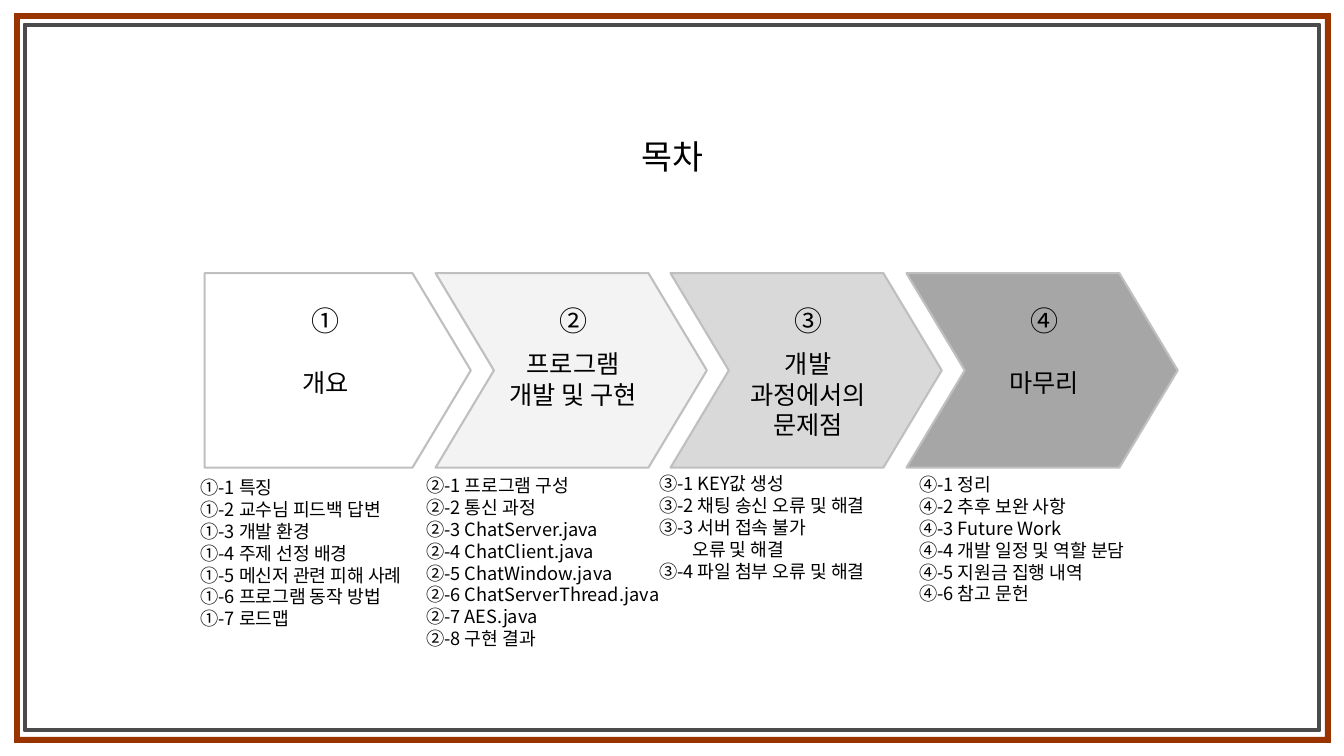
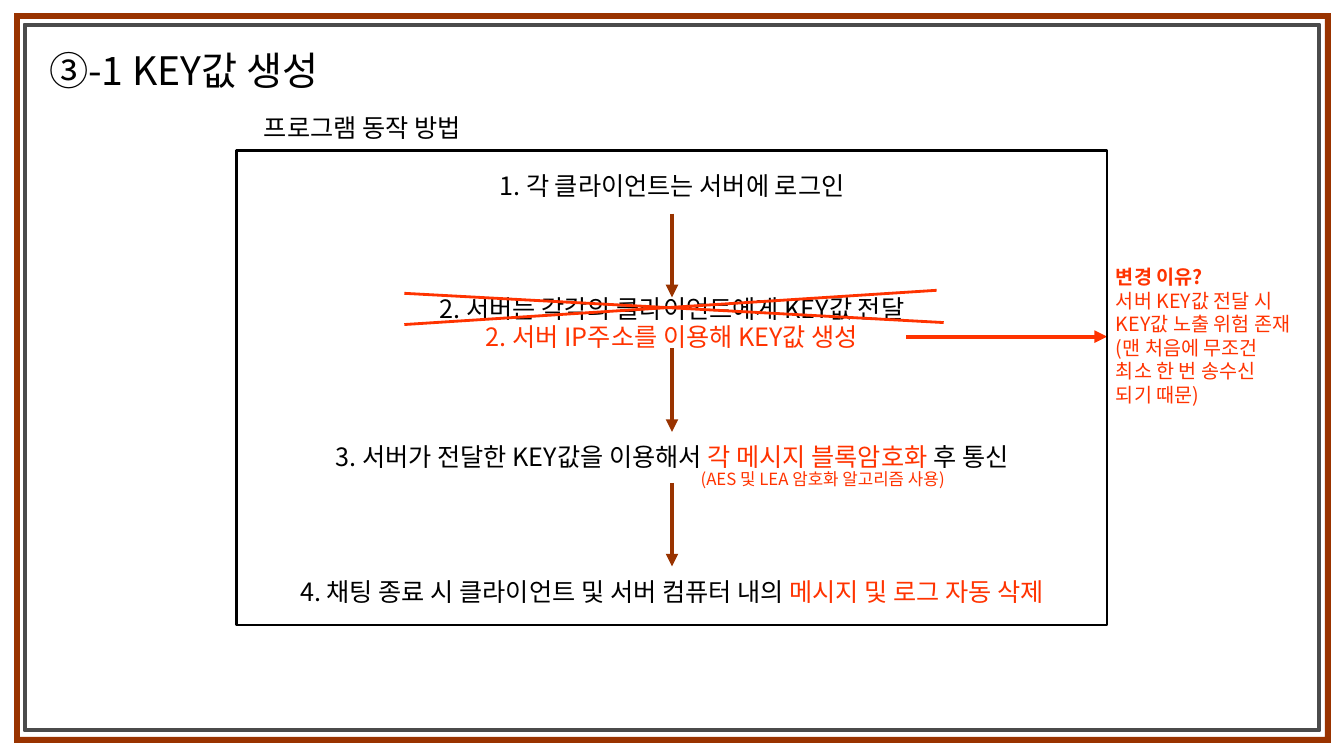
from lxml import etree
from pptx import Presentation
from pptx.dml.color import RGBColor
from pptx.enum.shapes import MSO_CONNECTOR as LINK, MSO_SHAPE as SHAPE
from pptx.enum.text import MSO_ANCHOR as ANCHOR, PP_ALIGN as ALIGN
from pptx.oxml.ns import qn
from pptx.util import Inches, Pt

FONT = "Noto Sans CJK KR"
BLACK = RGBColor(0x00, 0x00, 0x00)
WHITE = RGBColor(0xFF, 0xFF, 0xFF)
PALE = RGBColor(0xF3, 0xF3, 0xF3)
SILVER = RGBColor(0xD9, 0xD9, 0xD9)
GRAY = RGBColor(0xA6, 0xA6, 0xA6)
EDGE = RGBColor(0xBF, 0xBF, 0xBF)
CHARCOAL = RGBColor(0x4B, 0x4B, 0x4B)
RUST = RGBColor(0x99, 0x33, 0x00)
RED = RGBColor(0xFF, 0x33, 0x00)

SLIDE_W, SLIDE_H = 13.33, 7.5
LINE_RATIO = 1.2
KEY_TITLE = "③-1 KEY값 생성"

CHAPTERS = [
    ("①", ["개요"], SHAPE.PENTAGON, WHITE, (2.03, 2.64), -0.12, (1.89, 4.68, 2.46), [
        "특징", "교수님 피드백 답변", "개발 환경", "주제 선정 배경",
        "메신저 관련 피해 사례", "프로그램 동작 방법", "로드맵"]),
    ("②", ["프로그램", "개발 및 구현"], SHAPE.CHEVRON, PALE, (4.32, 2.69), 0.02, (4.13, 4.66, 2.64), [
        "프로그램 구성", "통신 과정", "ChatServer.java", "ChatClient.java",
        "ChatWindow.java", "ChatServerThread.java", "AES.java", "구현 결과"]),
    ("③", ["개발", "과정에서의", "문제점"], SHAPE.CHEVRON, SILVER, (6.65, 2.69), 0.02, (6.44, 4.64, 3), [
        "KEY값 생성", "채팅 송신 오류 및 해결", ("서버 접속 불가", "오류 및 해결"),
        "파일 첨부 오류 및 해결"]),
    ("④", ["마무리"], SHAPE.CHEVRON, GRAY, (8.99, 2.69), 0.02, (9.02, 4.65, 2.64), [
        "정리", "추후 보완 사항", "Future Work", "개발 일정 및 역할 분담",
        "지원금 집행 내역", "참고 문헌"]),
]

STEPS = [
    (1.64, [("1. 각 클라이언트는 서버에 로그인", BLACK)]),
    (2.86, [("2. 서버는 각각의 클라이언트에게 KEY값 전달", BLACK)]),
    (3.14, [("2. 서버 IP주소를 이용해 KEY값 생성", RED)]),
    (4.33, [("3. 서버가 전달한 KEY값을 이용해서 ", BLACK),
            ("각 메시지 블록암호화", RED), (" 후 통신", BLACK)]),
    (5.67, [("4. 채팅 종료 시 클라이언트 및 서버 컴퓨터 내의 ", BLACK),
            ("메시지 및 로그 자동 삭제", RED)]),
]

REASON = ["변경 이유?", "서버 KEY값 전달 시", "KEY값 노출 위험 존재",
          "(맨 처음에 무조건", "최소 한 번 송수신", "되기 때문)"]


def add_text(slide, box, lines, size, color=BLACK, align=ALIGN.LEFT, wrap=False):
    frame = slide.shapes.add_textbox(*map(Inches, box)).text_frame
    for name, value in {"word_wrap": wrap, "vertical_anchor": ANCHOR.TOP}.items():
        setattr(frame, name, value)
    for index, line in enumerate(lines):
        paragraph = frame.paragraphs[0] if index == 0 else frame.add_paragraph()
        paragraph.alignment = align
        paragraph.line_spacing = Pt(size * LINE_RATIO)
        for words, tint in [(line, color)] if isinstance(line, str) else line:
            run = paragraph.add_run()
            run.text = words
            for name, value in {"name": FONT, "size": Pt(size), "bold": False}.items():
                setattr(run.font, name, value)
            run.font.color.rgb = tint
            etree.SubElement(run._r.get_or_add_rPr(), qn("a:ea"), typeface=FONT)
    return frame


def add_centered(slide, center, top, width, lines, size):
    height = 0.1 + len(lines) * size * LINE_RATIO / 72
    return add_text(slide, (center - width / 2, top, width, height), lines, size,
                    align=ALIGN.CENTER)


def add_outline(slide, kind, box, fill=None, edge=None, weight=1.5, adjust=None):
    shape = slide.shapes.add_shape(kind, *map(Inches, box))
    shape.shadow.inherit = False
    if adjust is not None:
        shape.adjustments[0] = adjust
    if fill is None:
        shape.fill.background()
    else:
        shape.fill.solid()
        shape.fill.fore_color.rgb = fill
    if edge is None:
        shape.line.fill.background()
    else:
        shape.line.color.rgb = edge
        shape.line.width = Pt(weight)
    return shape


def add_line(slide, start, end, color, weight, arrow=False):
    line = slide.shapes.add_connector(LINK.STRAIGHT, *map(Inches, start + end))
    line.line.color.rgb = color
    line.line.width = Pt(weight)
    if arrow:
        etree.SubElement(line.line._get_or_add_ln(), qn("a:tailEnd"), type="triangle")
    etree.SubElement(line._element.spPr, qn("a:effectLst"))


def add_border(slide):
    add_outline(slide, SHAPE.FRAME, (0.14, 0.13, 13.06, 7.24), RUST, adjust=0.008)
    add_outline(slide, SHAPE.FRAME, (0.24, 0.24, 12.85, 7.01), CHARCOAL, CHARCOAL, adjust=0.003)


def add_topics(slide, number, box, topics):
    lines, continued = [], []
    for index, topic in enumerate(topics, 1):
        first, *rest = [topic] if isinstance(topic, str) else topic
        lines.append(f"{number}-{index} {first}")
        for words in rest:
            continued.append(len(lines))
            lines.append(words)
    height = 0.1 + len(lines) * 13 * LINE_RATIO / 72
    frame = add_text(slide, box + (height,), lines, 13, wrap=True)
    for index in continued:
        properties = frame.paragraphs[index]._p.get_or_add_pPr()
        properties.set("marL", str(Inches(0.33)))
        properties.set("indent", "0")


def add_chapter(slide, number, caption, kind, fill, span, shift, topic_box, topics):
    left, width = span
    top = 2.71
    add_outline(slide, kind, (left, top, width, 1.93), fill, EDGE, adjust=0.3)
    center = left + width / 2 + shift
    add_centered(slide, center, top + 0.25, 0.48, [number], 20)
    caption_top = top + (0.88 if len(caption) == 1 else 0.7)
    add_centered(slide, center, caption_top, 1.64, caption, 18)
    add_topics(slide, number, topic_box, topics)


def build_contents(slide):
    add_border(slide)
    add_centered(slide, SLIDE_W / 2, 1.3, 0.88, ["목차"], 24)
    for chapter in CHAPTERS:
        add_chapter(slide, *chapter)


def add_procedure(slide, box):
    left, top, width, height = box
    center = left + width / 2
    add_text(slide, (left + 0.17, top - 0.42, 2.4, 0.4), ["프로그램 동작 방법"], 18)
    for step_top, runs in STEPS:
        add_centered(slide, center, step_top, width, [runs], 18)
    for index in range(3):
        start = top + 0.63 + index * 1.335
        add_line(slide, (center, start), (center, start + 0.83), RUST, 3, arrow=True)
    for start, end in [((4.01, 3.22), (9.29, 2.88)), ((4.01, 2.91), (9.36, 3.2))]:
        add_line(slide, start, end, RED, 2)
    add_line(slide, (8.99, 3.34), (left + width, 3.34), RED, 3, arrow=True)
    add_outline(slide, SHAPE.RECTANGLE, box, edge=BLACK, weight=2)
    add_text(slide, (6.85, 4.6, 2.85, 0.3), ["(AES 및 LEA 암호화 알고리즘 사용)"], 12, RED)


def build_key_creation(slide):
    add_border(slide)
    add_text(slide, (0.39, 0.41, 3.08, 0.57), [KEY_TITLE], 28)
    add_procedure(slide, (2.35, 1.49, 8.63, 4.71))
    reason = add_text(slide, (10.97, 2.58, 2.11, 1.51), REASON, 14, RED, wrap=True)
    reason.paragraphs[0].runs[0].font.bold = True


def main():
    deck = Presentation()
    deck.slide_width, deck.slide_height = Inches(SLIDE_W), Inches(SLIDE_H)
    for build in (build_contents, build_key_creation):
        build(deck.slides.add_slide(deck.slide_layouts[6]))
    deck.save("out.pptx")


if __name__ == "__main__":
    main()
